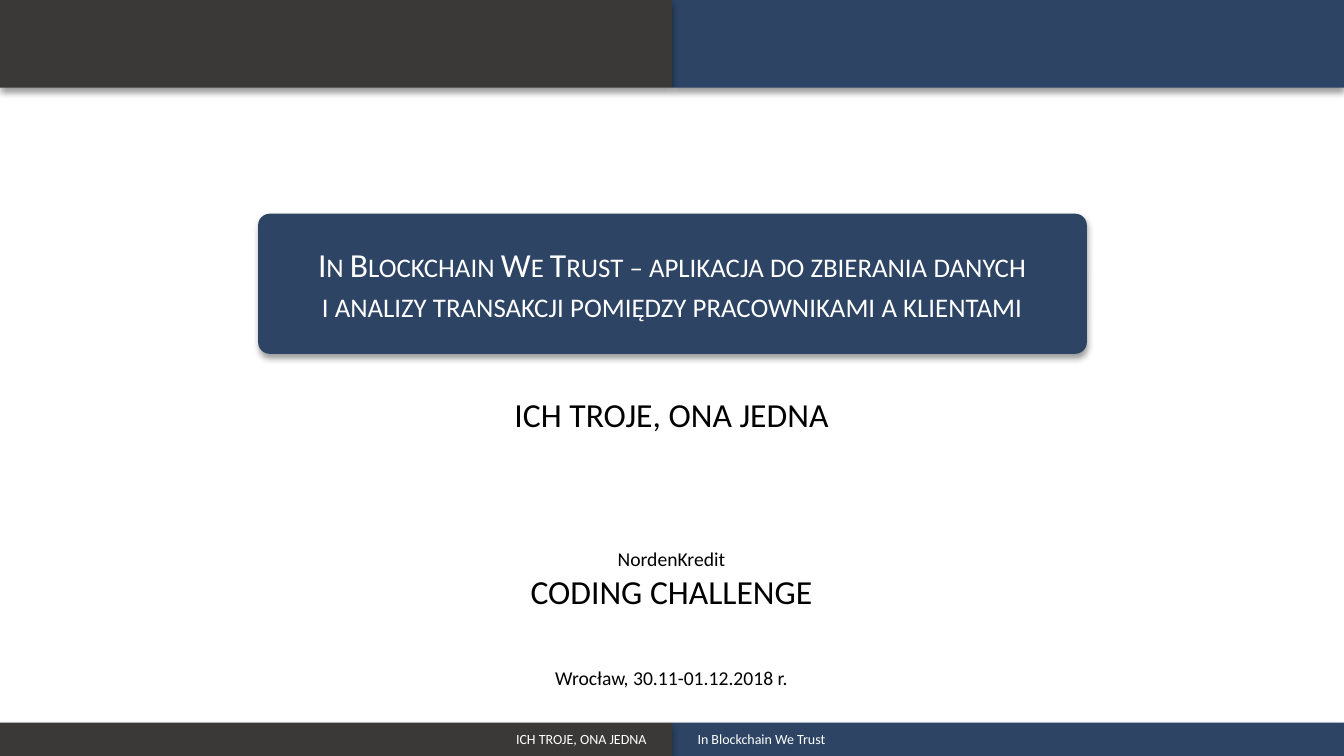
"""Build the title slide of a coding challenge presentation."""
from dataclasses import dataclass

from lxml import etree
from pptx import Presentation
from pptx import util as u
from pptx.dml.color import RGBColor
from pptx.enum import shapes, text
from pptx.oxml import ns
from pptx.slide import Slide

NAVY = RGBColor(0x2D, 0x44, 0x64)
CHARCOAL = RGBColor(0x3B, 0x38, 0x38)
WHITE = RGBColor(0xFF, 0xFF, 0xFF)
BLACK = RGBColor(0x00, 0x00, 0x00)
CENTER, LEFT, RIGHT = text.PP_ALIGN.CENTER, text.PP_ALIGN.LEFT, text.PP_ALIGN.RIGHT

WIDTH, HEIGHT = 13.33, 7.5
HALF = WIDTH / 2
HEADER_HEIGHT, FOOTER_HEIGHT = 0.87, 0.33
TEAM = "ICH TROJE, ONA JEDNA"
PROJECT = "In Blockchain We Trust"


@dataclass
class Panel:
    """A filled block with a soft shadow below it."""
    left: float
    top: float
    width: float
    height: float
    color: RGBColor
    corner: float = 0


@dataclass
class Line:
    """One paragraph with its size and the space before it, in points."""
    words: str
    size: int
    before: float = 0


@dataclass
class Caption:
    """A text box holding lines of one colour and alignment."""
    left: float
    top: float
    width: float
    height: float
    lines: list[Line]
    color: RGBColor
    align: text.PP_ALIGN = CENTER
    small_caps: bool = False


PANELS = [
    Panel(left, top, HALF, height, color)
    for top, height in ((0, HEADER_HEIGHT), (HEIGHT - FOOTER_HEIGHT, FOOTER_HEIGHT))
    for left, color in ((HALF, NAVY), (0, CHARCOAL))
] + [Panel(2.56, 2.12, 8.22, 1.39, NAVY, corner=0.083)]

CAPTIONS = [
    Caption(3.8, 3.86, 5.72, 3.03, [
        Line(TEAM, 24),
        Line("NordenKredit", 14, before=80.5),
        Line("CODING CHALLENGE", 24),
        Line("Wrocław, 30.11-01.12.2018 r.", 14, before=39),
    ], BLACK),
    Caption(2.81, 2.37, 7.71, 0.91, [
        Line(f"{PROJECT} – aplikacja do zbierania danych", 24),
        Line("i analizy transakcji pomiędzy pracownikami a klientami", 24),
    ], WHITE, small_caps=True),
    Caption(6.82, 7.2, 3.36, 0.27, [Line(PROJECT, 10)], WHITE, LEFT),
    Caption(3.15, 7.2, 3.36, 0.27, [Line(TEAM, 10)], WHITE, RIGHT),
]


def draw_panel(slide: Slide, panel: Panel) -> None:
    """Draw a block and give it a shadow falling straight down."""
    kind = shapes.MSO_SHAPE.ROUNDED_RECTANGLE if panel.corner else shapes.MSO_SHAPE.RECTANGLE
    block = slide.shapes.add_shape(
        kind, *map(u.Inches, (panel.left, panel.top, panel.width, panel.height)))
    if panel.corner:
        block.adjustments[0] = panel.corner
    block.fill.solid()
    block.fill.fore_color.rgb = panel.color
    block.line.fill.background()
    block.shadow.inherit = False
    effects = block._element.spPr.find(ns.qn("a:effectLst"))
    shadow = etree.SubElement(
        effects, ns.qn("a:outerShdw"), blurRad=str(u.Pt(5)), dist=str(u.Pt(3)),
        dir="5400000", algn="t", rotWithShape="0")
    tint = etree.SubElement(shadow, ns.qn("a:srgbClr"), val=str(BLACK))
    etree.SubElement(tint, ns.qn("a:alpha"), val="40000")


def draw_caption(slide: Slide, caption: Caption) -> None:
    """Write the lines of a caption into a wrapped text box."""
    frame = slide.shapes.add_textbox(
        *map(u.Inches, (caption.left, caption.top, caption.width, caption.height))).text_frame
    frame.word_wrap = True
    frame.auto_size = text.MSO_AUTO_SIZE.SHAPE_TO_FIT_TEXT
    for index, line in enumerate(caption.lines):
        paragraph = frame.add_paragraph() if index else frame.paragraphs[0]
        run = paragraph.add_run()
        run.text = line.words
        paragraph.alignment = caption.align
        if line.before:
            paragraph.space_before = u.Pt(line.before)
        paragraph.font.name = "Calibri"
        paragraph.font.size = u.Pt(line.size)
        paragraph.font.color.rgb = caption.color
        if caption.small_caps:
            run._r.get_or_add_rPr().set("cap", "small")


def main() -> None:
    """Assemble and save the slide."""
    deck = Presentation()
    deck.slide_width, deck.slide_height = u.Inches(WIDTH), u.Inches(HEIGHT)
    slide = deck.slides.add_slide(deck.slide_layouts[6])
    for panel in PANELS:
        draw_panel(slide, panel)
    for caption in CAPTIONS:
        draw_caption(slide, caption)
    deck.save("out.pptx")


if __name__ == "__main__":
    main()
